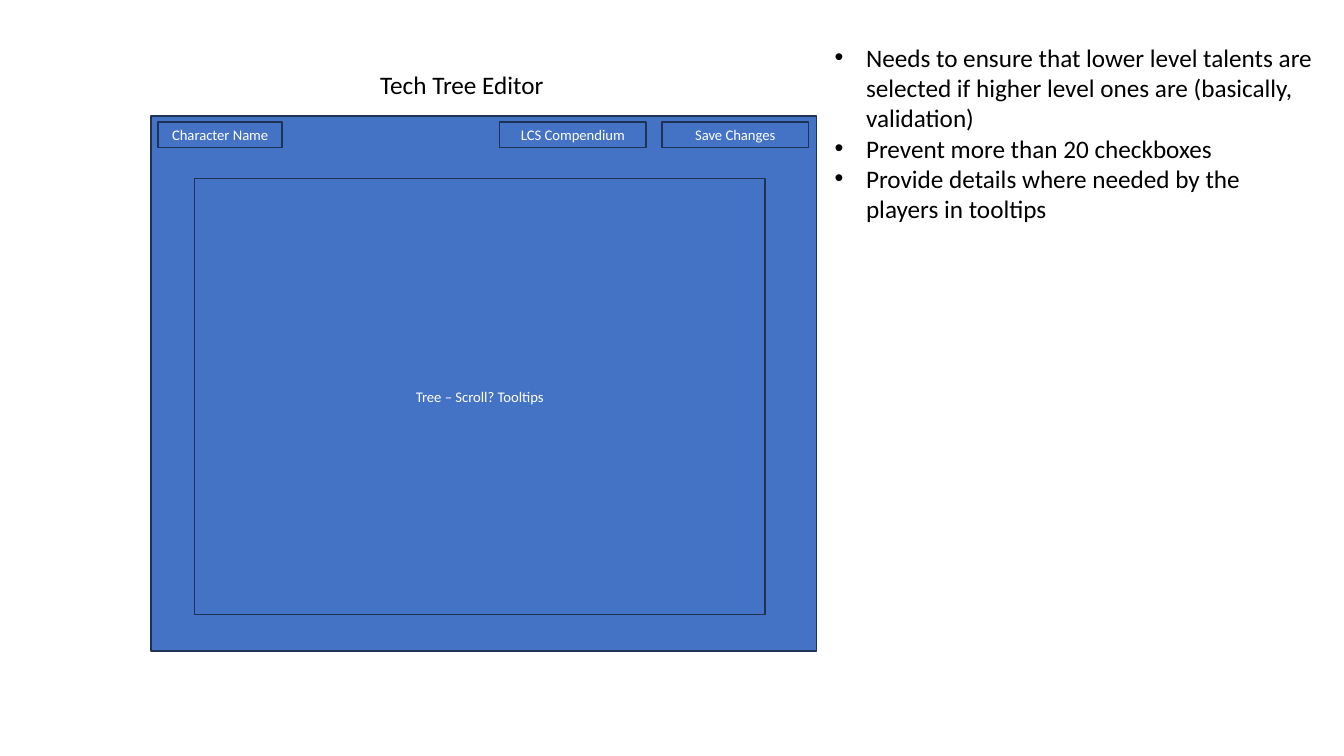
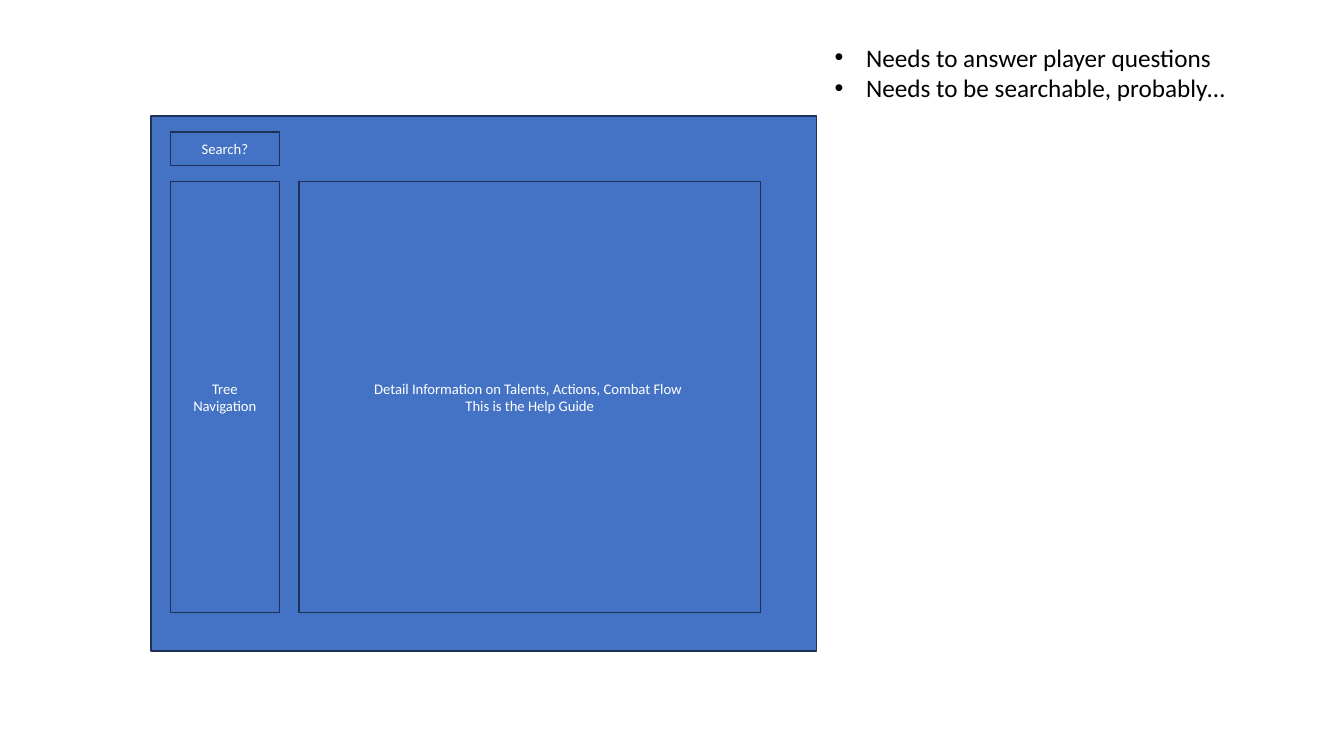
from lxml.etree import SubElement
from pptx import Presentation
from pptx.dml.color import RGBColor
from pptx.enum.shapes import MSO_SHAPE
from pptx.enum.text import MSO_ANCHOR, MSO_AUTO_SIZE, PP_ALIGN
from pptx.oxml.ns import qn
from pptx.util import Pt

COLORS = {"panel": "4472C4", "outline": "1E3256", "light": "FFFFFF", "dark": "000000"}
FONT = "Calibri"
TEXT_SIZE = 18
LABEL_SIZE = 10.5
BULLET_INDENT = 22.5
TITLE_ONLY, BLANK = 5, 6

WINDOW = (108, 82.8, 475.2, 382.3)
TITLE = (264.4, 46, 132.5, 29)
NOTES_LEFT, NOTES_TOP, NOTES_WIDTH = 589, 26.6, 358.6
LINE_HEIGHT = 21.8


def color(name):
    return RGBColor.from_string(COLORS[name])


def add_text(paragraph, text, size, color_name):
    run = paragraph.add_run()
    run.text = text
    run.font.name = FONT
    run.font.size = Pt(size)
    run.font.bold = False
    run.font.color.rgb = color(color_name)


def add_panel(slide, box, lines=(), origin=(0, 0)):
    left, top, width, height = box
    shape = slide.shapes.add_shape(
        MSO_SHAPE.RECTANGLE,
        Pt(origin[0] + left), Pt(origin[1] + top), Pt(width), Pt(height),
    )
    shape.shadow.inherit = False
    shape.fill.solid()
    shape.fill.fore_color.rgb = color("panel")
    shape.line.color.rgb = color("outline")
    shape.line.width = Pt(1)
    frame = shape.text_frame
    frame.word_wrap = True
    frame.vertical_anchor = MSO_ANCHOR.MIDDLE
    for index, line in enumerate(lines):
        paragraph = frame.add_paragraph() if index else frame.paragraphs[0]
        paragraph.alignment = PP_ALIGN.CENTER
        add_text(paragraph, line, LABEL_SIZE, "light")


def set_title(slide, text):
    title = slide.shapes.title
    title.left, title.top, title.width, title.height = map(Pt, TITLE)
    frame = title.text_frame
    frame.word_wrap = False
    frame.auto_size = MSO_AUTO_SIZE.NONE
    frame.vertical_anchor = MSO_ANCHOR.TOP
    paragraph = frame.paragraphs[0]
    paragraph.alignment = PP_ALIGN.LEFT
    add_text(paragraph, text, TEXT_SIZE, "dark")


def add_bullet(paragraph):
    properties = paragraph._p.get_or_add_pPr()
    properties.set("marL", str(Pt(BULLET_INDENT)))
    properties.set("indent", str(-Pt(BULLET_INDENT)))
    SubElement(properties, qn("a:buFont")).set("typeface", "Arial")
    SubElement(properties, qn("a:buChar")).set("char", "•")


def add_notes(slide, notes, line_count):
    height = line_count * LINE_HEIGHT + 7.2
    shape = slide.shapes.add_textbox(
        Pt(NOTES_LEFT), Pt(NOTES_TOP), Pt(NOTES_WIDTH), Pt(height)
    )
    frame = shape.text_frame
    frame.word_wrap = True
    frame.auto_size = MSO_AUTO_SIZE.SHAPE_TO_FIT_TEXT
    for index, note in enumerate(notes):
        paragraph = frame.add_paragraph() if index else frame.paragraphs[0]
        add_bullet(paragraph)
        add_text(paragraph, note, TEXT_SIZE, "dark")


def add_window(slide, box, panels):
    add_panel(slide, box)
    for panel_box, lines in panels:
        add_panel(slide, panel_box, lines, origin=box[:2])


def editor_panels(window_width):
    top, height, margin, gap = 4.4, 18, 5.8, 11.6
    button_width = 104.4
    save_left = window_width - margin - button_width
    compendium_left = save_left - gap - button_width
    return [
        ((5, top, 88.6, height), ["Character Name"]),
        ((compendium_left, top, button_width, height), ["LCS Compendium"]),
        ((save_left, top, button_width, height), ["Save Changes"]),
        ((31, 44.6, 407.5, 311.8), ["Tree – Scroll? Tooltips"]),
    ]


def guide_panels():
    margin, gap, sidebar_width = 13.7, 14, 77.8
    body_top, body_height = 46.7, 308.2
    detail_left = margin + sidebar_width + gap
    return [
        ((margin, 11.5, sidebar_width, 23.8), ["Search?"]),
        ((margin, body_top, sidebar_width, body_height), ["Tree Navigation"]),
        (
            (detail_left, body_top, 329.8, body_height),
            ["Detail Information on Talents, Actions, Combat Flow ", "This is the Help Guide"],
        ),
    ]


def build_editor_slide(presentation):
    slide = presentation.slides.add_slide(presentation.slide_layouts[TITLE_ONLY])
    set_title(slide, "Tech Tree Editor")
    add_window(slide, WINDOW, editor_panels(WINDOW[2]))
    add_notes(slide, [
        "Needs to ensure that lower level talents are selected if higher level ones are "
        "(basically, validation)",
        "Prevent more than 20 checkboxes",
        "Provide details where needed by the players in tooltips",
    ], line_count=6)


def build_guide_slide(presentation):
    slide = presentation.slides.add_slide(presentation.slide_layouts[BLANK])
    add_window(slide, WINDOW, guide_panels())
    add_notes(slide, [
        "Needs to answer player questions",
        "Needs to be searchable, probably…",
    ], line_count=2)


def main():
    presentation = Presentation()
    presentation.slide_width = Pt(960)
    presentation.slide_height = Pt(540)
    build_editor_slide(presentation)
    build_guide_slide(presentation)
    presentation.save("out.pptx")


if __name__ == "__main__":
    main()
